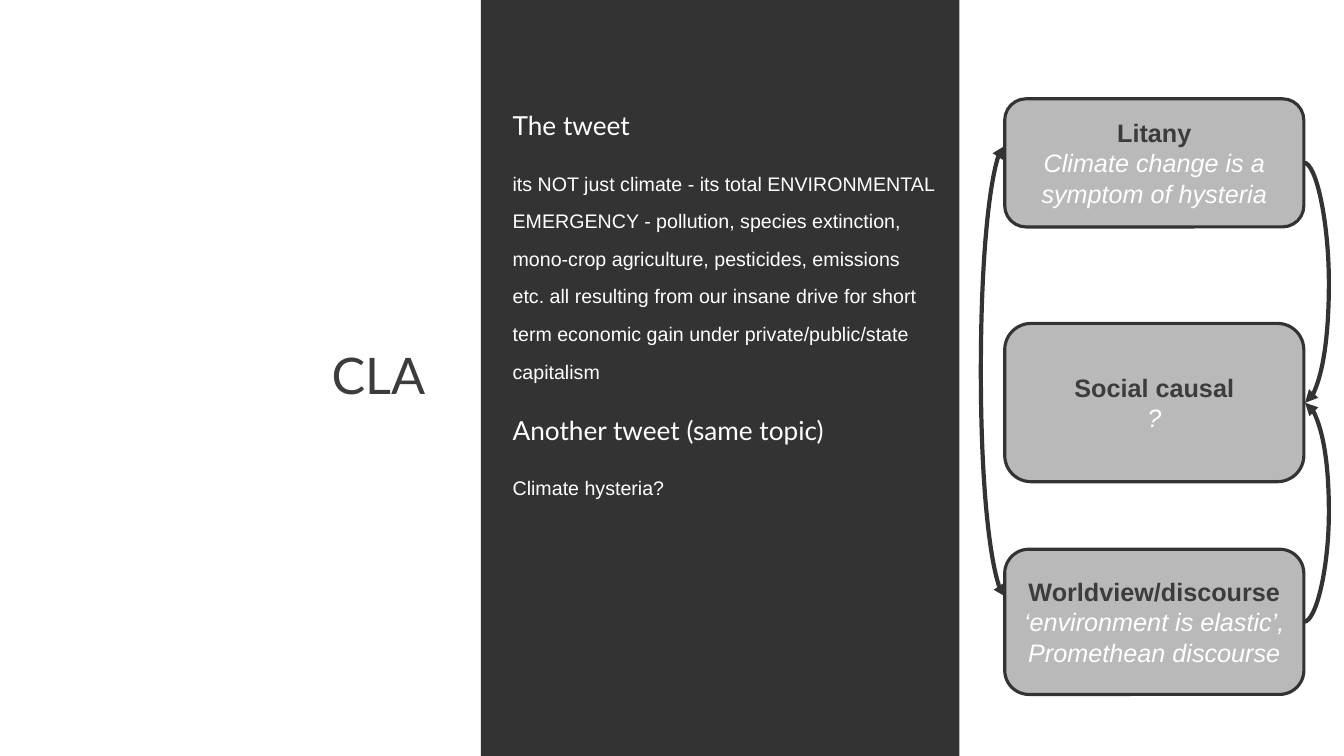
import lxml.etree
import pptx
import pptx.util
import pptx.dml.color
import pptx.enum.shapes
import pptx.enum.text
import pptx.oxml.ns

Cm, Pt = pptx.util.Cm, pptx.util.Pt
RGB = pptx.dml.color.RGBColor
SHAPE = pptx.enum.shapes.MSO_SHAPE
ALIGN = pptx.enum.text.PP_ALIGN
ANCHOR = pptx.enum.text.MSO_ANCHOR
qn = pptx.oxml.ns.qn

DARK = RGB(0x33, 0x33, 0x33)
INK = RGB(0x3C, 0x3C, 0x3C)
GREY = RGB(0xB9, 0xB9, 0xB9)
WHITE = RGB(0xFF, 0xFF, 0xFF)

TITLE = "CLA"
# heading, text, alignment of the text, top in cm
TWEETS = [
    ("The tweet",
     "its NOT just climate - its total ENVIRONMENTAL EMERGENCY - pollution, "
     "species extinction, mono-crop agriculture, pesticides, emissions etc. "
     "all resulting from our insane drive for short term economic gain under "
     "private/public/state capitalism", ALIGN.LEFT, 2.49),
    ("Another tweet (same topic)", "Climate hysteria?", ALIGN.JUSTIFY, 10.16),
]
# name, note, top and height in cm
LAYERS = [
    ("Litany", "Climate change is a symptom of hysteria", 2.49, 3.23),
    ("Social causal", "?", 8.15, 3.99),
    ("Worldview/discourse", "‘environment is elastic’, Promethean discourse",
     13.84, 3.66),
]
BOX_X, BOX_W = 25.32, 7.54
RIGHT = BOX_X + BOX_W
BULGE, STEP = 0.63, 0.03
# start x, start y, end x, end y in cm, arrowhead at start
CURVES = [
    (BOX_X + STEP, 15.04, BOX_X, 3.68, True),
    (RIGHT, 4.1, RIGHT + STEP, 10.15, False),
    (RIGHT, 15.67, RIGHT + STEP, 10.15, False),
]
TEXT_X = 12.67


def write(frame, text, size=18, font="Arial", color=WHITE, bold=False,
          italic=False, align=ALIGN.LEFT, anchor=ANCHOR.TOP, lead=1.0,
          more=False):
    """Fill the first paragraph, or append one when more is set."""
    frame.word_wrap = True
    frame.auto_size = pptx.enum.text.MSO_AUTO_SIZE.NONE
    frame.vertical_anchor = anchor
    para = frame.add_paragraph() if more else frame.paragraphs[0]
    para.alignment, para.line_spacing = align, lead
    run = para.add_run()
    run.text = text
    face = run.font
    face.size, face.name, face.bold, face.italic = Pt(size), font, bold, italic
    face.color.rgb = color


def place(shape, *box):
    shape.left, shape.top, shape.width, shape.height = map(Cm, box)


def block(shapes, kind, box, fill):
    shape = shapes.add_shape(kind, *map(Cm, box))
    shape.shadow.inherit = False
    shape.fill.solid()
    shape.fill.fore_color.rgb = fill
    return shape


def add(parent, tag, **attrs):
    """Append an XML child with the given attributes."""
    return lxml.etree.SubElement(parent, qn(tag), attrs)


def curve(shapes, x1, y1, x2, y2, both):
    """Draw a curved arrow that bows out past its start by BULGE."""
    link = shapes.add_connector(pptx.enum.shapes.MSO_CONNECTOR.CURVE,
                                *map(Cm, (x1, y1, x2, y2)))
    link.line.color.rgb = DARK
    link.line.width = Pt(3)
    props = link._element.spPr
    shift = round(BULGE / STEP * 100000)
    guides = props.find(qn("a:prstGeom")).find(qn("a:avLst"))
    add(guides, "a:gd", name="adj1", fmla=f"val {shift}")
    for tag in ["a:headEnd"] * both + ["a:tailEnd"]:
        add(props.find(qn("a:ln")), tag, type="triangle")
    add(props, "a:effectLst")


def main():
    deck = pptx.Presentation()
    deck.slide_width, deck.slide_height = Cm(33.87), Cm(19.05)
    slide = deck.slides.add_slide(deck.slide_layouts[5])
    shapes = slide.shapes

    place(shapes.title, 2.59, 6.73, 8.38, 5.59)
    write(shapes.title.text_frame, TITLE, size=36, font="Lato", color=INK,
          align=ALIGN.RIGHT, anchor=ANCHOR.MIDDLE, lead=0.9)

    panel = block(shapes, SHAPE.RECTANGLE, (12.12, 0, 12.06, 19.05), DARK)
    panel.line.fill.background()

    for head, text, align, top in TWEETS:
        box = shapes.add_textbox(*map(Cm, (TEXT_X, top, 9.83, 1.19)))
        write(box.text_frame, head, size=18.7, font="Lato",
              align=ALIGN.JUSTIFY, anchor=ANCHOR.BOTTOM)
        box = shapes.add_textbox(*map(Cm, (TEXT_X, top + 1.35, 11.18, 4.01)))
        write(box.text_frame, text, size=14, align=align, lead=1.6)

    for name, note, top, height in LAYERS:
        box = block(shapes, SHAPE.ROUNDED_RECTANGLE,
                    (BOX_X, top, BOX_W, height), GREY)
        box.line.color.rgb = DARK
        box.line.width = Pt(2.25)
        form = dict(align=ALIGN.CENTER, anchor=ANCHOR.MIDDLE)
        write(box.text_frame, name, color=INK, bold=True, **form)
        write(box.text_frame, note, italic=True, more=True, **form)

    for ends in CURVES:
        curve(shapes, *ends)

    deck.save("out.pptx")


if __name__ == "__main__":
    main()
